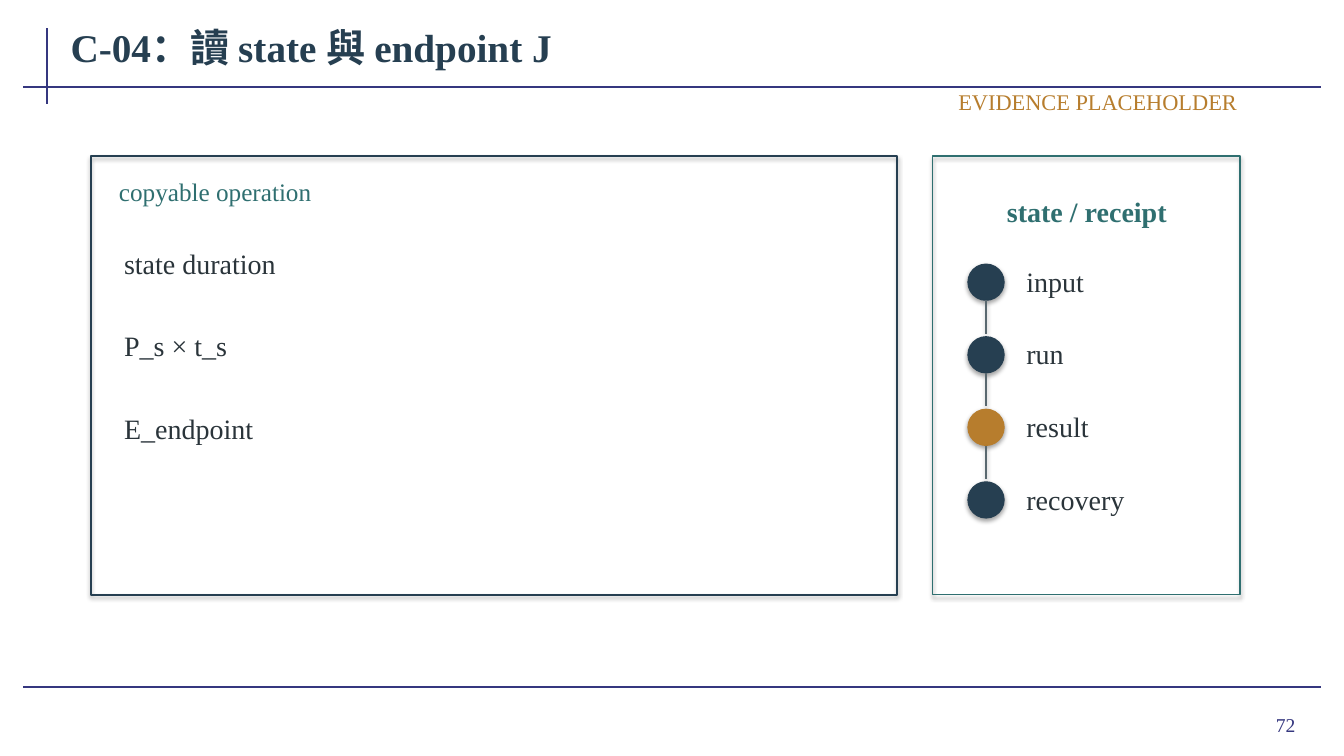
"""Build the C-04 slide on reading state and endpoint J."""
from lxml.etree import SubElement
from pptx import Presentation
from pptx.dml.color import RGBColor
from pptx.enum.shapes import MSO_CONNECTOR, MSO_SHAPE
from pptx.enum.text import MSO_ANCHOR, MSO_AUTO_SIZE, PP_ALIGN
from pptx.oxml.ns import qn
from pptx.util import Inches, Pt

INDIGO = RGBColor(0x35, 0x37, 0x7F)
NAVY = RGBColor(0x26, 0x3F, 0x51)
TEAL = RGBColor(0x2F, 0x6F, 0x70)
OCHRE = RGBColor(0xB7, 0x7D, 0x2D)
INK = RGBColor(0x2A, 0x34, 0x3A)
SLATE = RGBColor(0x59, 0x68, 0x6F)

FONT = "Times New Roman"
TITLE = "C-04：讀 state 與 endpoint J"
OPERATIONS = ["state duration", "P_s × t_s", "E_endpoint"]
STEPS = [("input", NAVY), ("run", NAVY), ("result", OCHRE), ("recovery", NAVY)]
PANELS = [(0.9, 8, NAVY, 1.4), (9.25, 3.05, TEAL, 1.1)]
FRAME_LINES = [
    (0.47, 0.28, 0.47, 1.03),
    (0.23, 0.86, 13.1, 0.86),
    (0.23, 6.82, 13.1, 6.82),
]
LABELS = [
    ("copyable operation", (1.1, 1.72, 7.6, 0.35), 18, TEAL, {}),
    ("state / receipt", (9.48, 1.82, 2.6, 0.55), 20, TEAL,
     {"bold": True, "alignment": PP_ALIGN.CENTER}),
    ("EVIDENCE PLACEHOLDER", (9.15, 0.86, 3.2, 0.3), 16, OCHRE,
     {"alignment": PP_ALIGN.RIGHT}),
    ("72", (11.96, 6.93, 0.97, 0.52), 14, INDIGO, {"alignment": PP_ALIGN.RIGHT}),
]
OPERATION_TOP, OPERATION_PITCH = 2.25, 0.82
STEP_TOP, STEP_PITCH = 2.62, 0.72
DOT_LEFT, DOT_SIZE = 9.6, 0.36
LINK_LENGTH = 0.33


def write_text(shape, text, size, color, bold=False, alignment=PP_ALIGN.LEFT):
    frame = shape.text_frame
    frame.text = text
    frame_format = {
        "word_wrap": True,
        "auto_size": MSO_AUTO_SIZE.NONE,
        "vertical_anchor": MSO_ANCHOR.MIDDLE,
        "margin_left": Inches(0.08),
        "margin_right": Inches(0.08),
        "margin_top": Inches(0.04),
        "margin_bottom": Inches(0.04),
    }
    for name, value in frame_format.items():
        setattr(frame, name, value)
    paragraph = frame.paragraphs[0]
    paragraph.alignment = alignment
    font = paragraph.runs[0].font
    for name, value in {"name": FONT, "size": Pt(size), "bold": bold}.items():
        setattr(font, name, value)
    font.color.rgb = color


def add_label(slide, text, box, size, color, **options):
    shape = slide.shapes.add_textbox(*map(Inches, box))
    write_text(shape, text, size, color, **options)


def add_line(slide, ends, color, width):
    line = slide.shapes.add_connector(MSO_CONNECTOR.STRAIGHT, *map(Inches, ends))
    line.line.color.rgb = color
    line.line.width = Pt(width)
    return line


def add_outlined(slide, kind, box, color, width):
    shape = slide.shapes.add_shape(kind, *map(Inches, box))
    shape.line.color.rgb = color
    shape.line.width = Pt(width)
    return shape


def add_frame(slide):
    for ends in FRAME_LINES:
        line = add_line(slide, ends, INDIGO, 1.5)
        SubElement(line.element.spPr, qn("a:effectLst"))
    title = slide.shapes.title
    title_place = {"left": 0.62, "top": 0.15, "width": 12.49, "height": 0.62}
    for name, value in title_place.items():
        setattr(title, name, Inches(value))
    write_text(title, TITLE, 28, NAVY, bold=True)


def add_steps(slide):
    center = DOT_LEFT + DOT_SIZE / 2
    for index, (name, color) in enumerate(STEPS):
        top = STEP_TOP + index * STEP_PITCH
        bottom = top + DOT_SIZE
        dot = add_outlined(
            slide, MSO_SHAPE.OVAL, (DOT_LEFT, top, DOT_SIZE, DOT_SIZE), color, 0.75)
        dot.fill.solid()
        dot.fill.fore_color.rgb = color
        add_label(slide, name, (10.1, top - 0.03, 1.85, 0.4), 20, INK)
        if index < len(STEPS) - 1:
            add_line(slide, (center, bottom, center, bottom + LINK_LENGTH), SLATE, 0.9)


def main():
    presentation = Presentation()
    presentation.slide_width = Inches(13.33)
    presentation.slide_height = Inches(7.5)
    slide = presentation.slides.add_slide(presentation.slide_layouts[5])
    add_frame(slide)
    for left, width, color, line_width in PANELS:
        panel = add_outlined(
            slide, MSO_SHAPE.RECTANGLE, (left, 1.55, width, 4.35), color, line_width)
        panel.fill.background()
    for text, box, size, color, options in LABELS:
        add_label(slide, text, box, size, color, **options)
    for index, operation in enumerate(OPERATIONS):
        top = OPERATION_TOP + index * OPERATION_PITCH
        add_label(slide, operation, (1.15, top, 7.35, 0.72), 20, INK)
    add_steps(slide)
    presentation.save("out.pptx")


if __name__ == "__main__":
    main()
